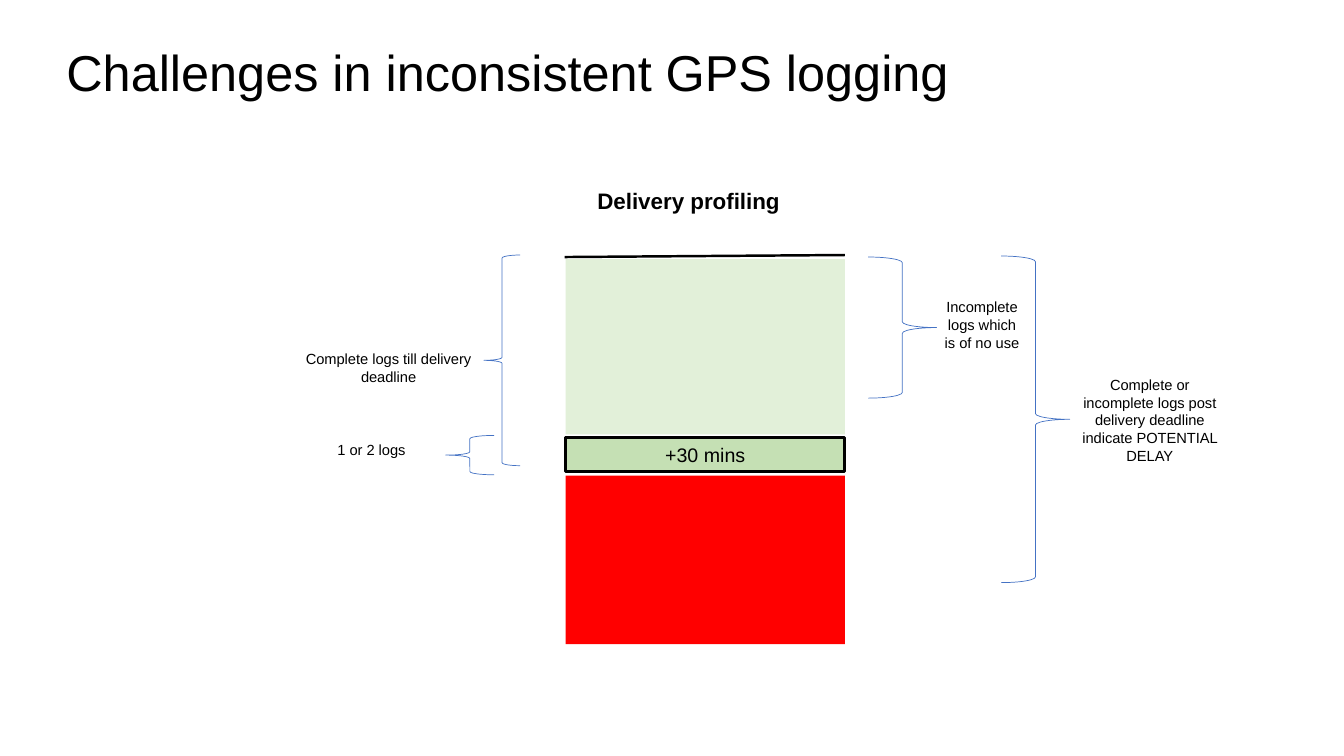
import pptx
import pptx.util
import pptx.dml.color
import pptx.enum.shapes
import pptx.enum.text
import lxml.etree

Inches = pptx.util.Inches
Pt = pptx.util.Pt
SHAPE = pptx.enum.shapes.MSO_SHAPE
ALIGN = pptx.enum.text.PP_ALIGN
ANCHOR = pptx.enum.text.MSO_ANCHOR

THEME = {
    "font": "Arial",
    "text": "000000", "outline": "000000", "brace": "4472C4",
    "before": "E2F0D9", "margin": "C5E0B4", "late": "FF0000",
    "title": 36, "heading": 16, "band": 14, "note": 10.5,
    "brace_width": 0.5, "band_outline": 2, "top_line": 1.75,
}

TITLE = ("Challenges in inconsistent GPS logging", (0.56, 0.02, 11.5, 1.45))
HEADING = ("Delivery profiling", (5.76, 1.81, 2.14, 0.37))

COLUMN_LEFT, COLUMN_WIDTH = 5.61, 2.77
BANDS = [
    ("margin", 4.34, 0.34, "+30 mins"),
    ("before", 2.57, 1.74, ""),
    ("late", 4.72, 1.67, ""),
]
TOP_LINE = ((5.6, 2.55), (8.38, 2.53))

NOTES = [
    ("Complete logs till delivery deadline", (2.91, 3.42, 1.89, 0.45),
     SHAPE.LEFT_BRACE, (4.8, 2.53, 0.36, 2.09)),
    ("1 or 2 logs", (2.87, 4.32, 1.63, 0.28),
     SHAPE.LEFT_BRACE, (4.42, 4.32, 0.48, 0.39)),
    ("Complete or incomplete logs post delivery deadline indicate POTENTIAL DELAY",
     (10.59, 3.68, 1.63, 0.98), SHAPE.RIGHT_BRACE, (9.93, 2.54, 0.68, 3.24)),
    ("Incomplete logs which is of no use", (9.25, 2.91, 0.98, 0.63),
     SHAPE.RIGHT_BRACE, (8.61, 2.55, 0.68, 1.4)),
]


def color(role):
    return pptx.dml.color.RGBColor.from_string(THEME[role])


def inches(values):
    return [Inches(value) for value in values]


def write(frame, wording, size, align=ALIGN.CENTER, anchor=ANCHOR.TOP, bold=False):
    frame.word_wrap = True
    frame.vertical_anchor = anchor
    paragraph = frame.paragraphs[0]
    paragraph.alignment = align
    run = paragraph.add_run()
    run.text = wording
    run.font.name = THEME["font"]
    run.font.size = Pt(THEME[size])
    run.font.bold = bold
    run.font.color.rgb = color("text")
    return paragraph


def add_label(slide, wording, box, size, **style):
    label = slide.shapes.add_textbox(*inches(box))
    return write(label.text_frame, wording, size, **style)


def add_band(slide, role, top, height, wording):
    band = slide.shapes.add_shape(
        SHAPE.RECTANGLE, *inches((COLUMN_LEFT, top, COLUMN_WIDTH, height)))
    band.shadow.inherit = False
    band.fill.solid()
    band.fill.fore_color.rgb = color(role)
    if wording:
        band.line.color.rgb = color("outline")
        band.line.width = Pt(THEME["band_outline"])
        write(band.text_frame, wording, "band")
    else:
        band.line.fill.background()


def add_brace(slide, kind, box):
    brace = slide.shapes.add_shape(kind, *inches(box))
    brace.shadow.inherit = False
    brace.fill.background()
    brace.line.color.rgb = color("brace")
    brace.line.width = Pt(THEME["brace_width"])


def add_top_line(slide):
    start, end = TOP_LINE
    top_line = slide.shapes.add_connector(
        pptx.enum.shapes.MSO_CONNECTOR.STRAIGHT, *inches(start + end))
    top_line.line.color.rgb = color("outline")
    top_line.line.width = Pt(THEME["top_line"])
    lxml.etree.SubElement(
        top_line._element.spPr,
        "{http://schemas.openxmlformats.org/drawingml/2006/main}effectLst")


def main():
    deck = pptx.Presentation()
    deck.slide_width, deck.slide_height = Inches(13.33), Inches(7.5)
    slide = deck.slides.add_slide(deck.slide_layouts[6])
    title = add_label(slide, *TITLE, "title", align=ALIGN.LEFT, anchor=ANCHOR.MIDDLE)
    title.line_spacing = 0.9
    add_label(slide, *HEADING, "heading", bold=True)
    for band in BANDS:
        add_band(slide, *band)
    add_top_line(slide)
    for wording, box, brace_kind, brace_box in NOTES:
        add_brace(slide, brace_kind, brace_box)
        add_label(slide, wording, box, "note")
    deck.save("out.pptx")


if __name__ == "__main__":
    main()
